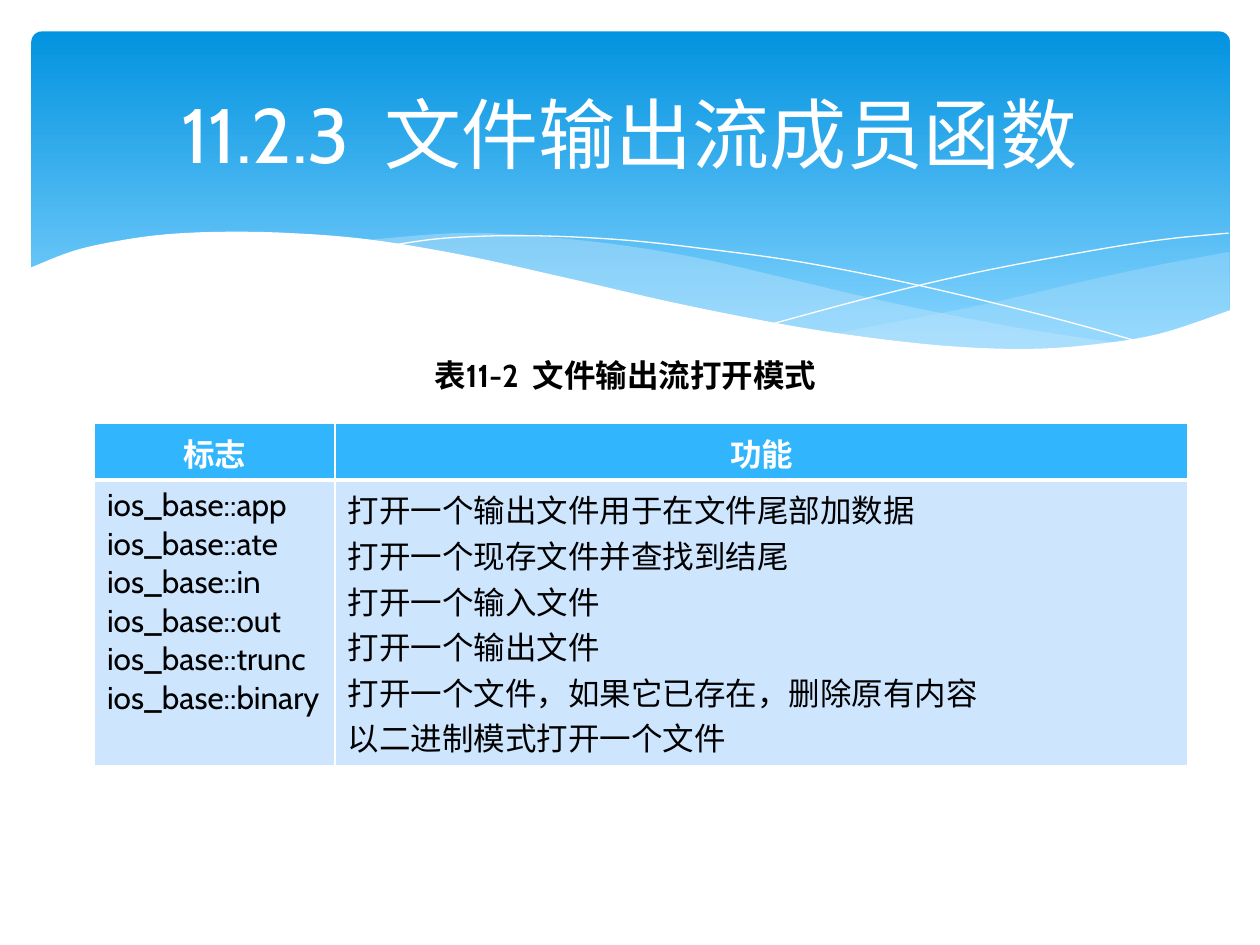
from dataclasses import dataclass
from itertools import product

from lxml import etree
from pptx import Presentation
from pptx import util as u
from pptx.dml.color import RGBColor
from pptx.enum import shapes, text
from pptx.oxml import ns

WHITE = RGBColor(0xFF, 0xFF, 0xFF)
BLACK = RGBColor(0, 0, 0)
BANNER_TOP = RGBColor(0x02, 0x93, 0xE0)
BANNER_BOTTOM = RGBColor(0x83, 0xD3, 0xFE)
WAVE_BLUE = RGBColor(0xC6, 0xE7, 0xFC)
HEADER_BLUE = RGBColor(0x31, 0xB6, 0xFD)
BODY_BLUE = RGBColor(0xCE, 0xE5, 0xFE)
FONT = "Cabin"

# The slide is a grid of 100 columns by 75 rows
WIDTH, HEIGHT = u.Inches(10), u.Inches(7.5)
COLUMN, ROW = WIDTH / 100, HEIGHT / 75

Point = tuple[float, float]
Curve = list[Point]


@dataclass
class Wave:
    """An outline of smooth curves, filled when it has an opacity, else a hairline."""
    curves: list[Curve]
    color: RGBColor
    opacity: int | None = None


@dataclass
class Mode:
    flag: str
    purpose: str


BACK_WAVES = [
    Wave([[(97.5, 20), (92.1, 21), (86.1, 22.3), (77.9, 24.2), (66.1, 26.5)],
          [(66.1, 26.5), (73.2, 27.4), (80.3, 27.8), (86.3, 27.5), (92.1, 26.5),
           (97.6, 24.7)],
          [(97.6, 24.7), (97.6, 20)]], WAVE_BLUE, 29),
    Wave([[(89.3, 27.3), (80.7, 26), (70.6, 24), (62.9, 22.2), (55.5, 20.5),
           (48.9, 19.4), (42, 18.7), (36.1, 18.5), (28.6, 19.1)],
          [(28.6, 19.1), (36.2, 20.3), (44.9, 22.2), (53, 24), (61.8, 25.8),
           (69.5, 27), (76.1, 27.7), (82.8, 27.8), (89.3, 27.3)]], WAVE_BLUE, 40),
    Wave([[(30.9, 19.5), (35.3, 18.9), (41.6, 18.7), (48.9, 19), (55.6, 19.7),
           (63.6, 20.8), (72.7, 22.6), (83.1, 25.1), (90.7, 27.2)]], WHITE),
    Wave([[(61.3, 25.7), (69.5, 23.5), (77.6, 21.6), (86.6, 19.9), (92.4, 19),
           (97.5, 18.5)]], WHITE),
]
FRONT_WAVE = Wave(
    [[(97.7, 24.6), (92, 26.5), (86.3, 27.4), (80.9, 27.7), (74.4, 27.4),
      (66.8, 26.5), (60.3, 25.4), (52.9, 23.9), (44.7, 22), (36.5, 20.2),
      (29.2, 19), (23, 18.5), (17.7, 18.4), (13.2, 18.6), (9.5, 19.1),
      (5.9, 19.9), (2.3, 21.3)],
     [(2.3, 21.3), (2.3, 32.9)], [(2.3, 32.9), (97.7, 32.9)],
     [(97.7, 32.9), (97.7, 24.6)]], WHITE, 100)

MODES = [
    Mode("ios_base::app", "打开一个输出文件用于在文件尾部加数据"),
    Mode("ios_base::ate", "打开一个现存文件并查找到结尾"),
    Mode("ios_base::in", "打开一个输入文件"),
    Mode("ios_base::out", "打开一个输出文件"),
    Mode("ios_base::trunc", "打开一个文件，如果它已存在，删除原有内容"),
    Mode("ios_base::binary", "以二进制模式打开一个文件"),
]


def box(left: float, top: float, width: float, height: float) -> list[int]:
    return [round(left * COLUMN), round(top * ROW),
            round(width * COLUMN), round(height * ROW)]


def write(frame, lines: list[str], *, size: float = 18, color: RGBColor = BLACK,
          bold: bool = False, align=text.PP_ALIGN.LEFT) -> None:
    for index, line in enumerate(lines):
        paragraph = frame.add_paragraph() if index else frame.paragraphs[0]
        paragraph.alignment = align
        run = paragraph.add_run()
        run.text = line
        run.font.name, run.font.size = FONT, u.Pt(size)
        run.font.bold, run.font.color.rgb = bold, color


def smooth(knots: Curve, steps: int = 6) -> Curve:
    """Points of a Catmull-Rom spline through the knots."""
    if len(knots) == 2:
        return knots
    padded = [knots[0], *knots, knots[-1]]
    points = [knots[0]]
    for a, b, c, d in zip(padded, padded[1:], padded[2:], padded[3:]):
        for step in range(1, steps + 1):
            t = step / steps
            points.append(tuple(
                b[i] + t * (c[i] - a[i]) / 2
                + t ** 2 * (2 * a[i] - 5 * b[i] + 4 * c[i] - d[i]) / 2
                + t ** 3 * (3 * b[i] - a[i] - 3 * c[i] + d[i]) / 2
                for i in (0, 1)))
    return points


def draw_wave(slide, wave: Wave) -> None:
    points = [(round(x * COLUMN), round(y * ROW))
              for curve in wave.curves for x, y in smooth(curve)]
    filled = wave.opacity is not None
    builder = slide.shapes.build_freeform(*points[0])
    builder.add_line_segments(points[1:], close=filled)
    shape = builder.convert_to_shape()
    shape.shadow.inherit = False
    if not filled:
        shape.fill.background()
        shape.line.color.rgb, shape.line.width = wave.color, 0
        return
    shape.line.fill.background()
    shape.fill.solid()
    shape.fill.fore_color.rgb = wave.color
    if wave.opacity < 100:
        color = shape.element.spPr.find(".//" + ns.qn("a:srgbClr"))
        etree.SubElement(color, ns.qn("a:alpha"), val=str(wave.opacity * 1000))


def draw_banner(slide) -> None:
    banner = slide.shapes.add_shape(shapes.MSO_SHAPE.ROUNDED_RECTANGLE,
                                    *box(2.5, 2.5, 95.1, 27))
    banner.adjustments[0] = 0.03
    banner.shadow.inherit = False
    banner.line.fill.background()
    banner.fill.gradient()
    banner.fill.gradient_angle = 270
    stops = zip(banner.fill.gradient_stops, (0, 0.9), (BANNER_TOP, BANNER_BOTTOM))
    for stop, position, color in stops:
        stop.position, stop.color.rgb = position, color


def add_text(slide, place: list[int], line: str, *, wrap: bool = True,
             anchor=text.MSO_ANCHOR.TOP, **style) -> None:
    frame = slide.shapes.add_textbox(*place).text_frame
    frame.word_wrap, frame.vertical_anchor = wrap, anchor
    write(frame, [line], **style)


def style_cell(cell, fill: RGBColor, **borders: float) -> None:
    properties = cell._tc.get_or_add_tcPr()
    for side in ("L", "R", "T", "B"):
        line = etree.SubElement(properties, ns.qn(f"a:ln{side}"),
                                w=str(u.Pt(borders.get(side, 1))))
        solid = etree.SubElement(line, ns.qn("a:solidFill"))
        etree.SubElement(solid, ns.qn("a:srgbClr"), val=str(WHITE))
    cell.fill.solid()
    cell.fill.fore_color.rgb = fill


def draw_mode_table(slide) -> None:
    table = slide.shapes.add_table(2, 2, *box(7.5, 33.6, 86.8, 27.2)).table
    table.horz_banding = False
    for column, width in zip(table.columns, (19.1, 67.7)):
        column.width = round(width * COLUMN)
    for row, height in zip(table.rows, (4.5, 22.7)):
        row.height = round(height * ROW)
    contents = [[["标志"], ["功能"]],
                [[mode.flag for mode in MODES], [mode.purpose for mode in MODES]]]
    for row, column in product(range(2), range(2)):
        cell = table.cell(row, column)
        if row == 0:
            style_cell(cell, HEADER_BLUE, B=3)
            style = dict(color=WHITE, bold=True, align=text.PP_ALIGN.CENTER)
        else:
            style_cell(cell, BODY_BLUE, T=3)
            style = {}
        write(cell.text_frame, contents[row][column], **style)


def main() -> None:
    presentation = Presentation()
    presentation.slide_width, presentation.slide_height = WIDTH, HEIGHT
    slide = presentation.slides.add_slide(presentation.slide_layouts[6])

    # Banner with waves along its lower edge
    draw_banner(slide)
    for wave in [*BACK_WAVES, FRONT_WAVE]:
        draw_wave(slide, wave)

    # Title, table and caption
    add_text(slide, box(5, 3.7, 90, 13.7), "11.2.3  文件输出流成员函数", size=44,
             color=WHITE, align=text.PP_ALIGN.CENTER, anchor=text.MSO_ANCHOR.MIDDLE)
    draw_mode_table(slide)
    add_text(slide, box(33.5, 27.8, 33.7, 4), "表11-2  文件输出流打开模式",
             wrap=False, bold=True)

    presentation.save("out.pptx")


if __name__ == "__main__":
    main()
